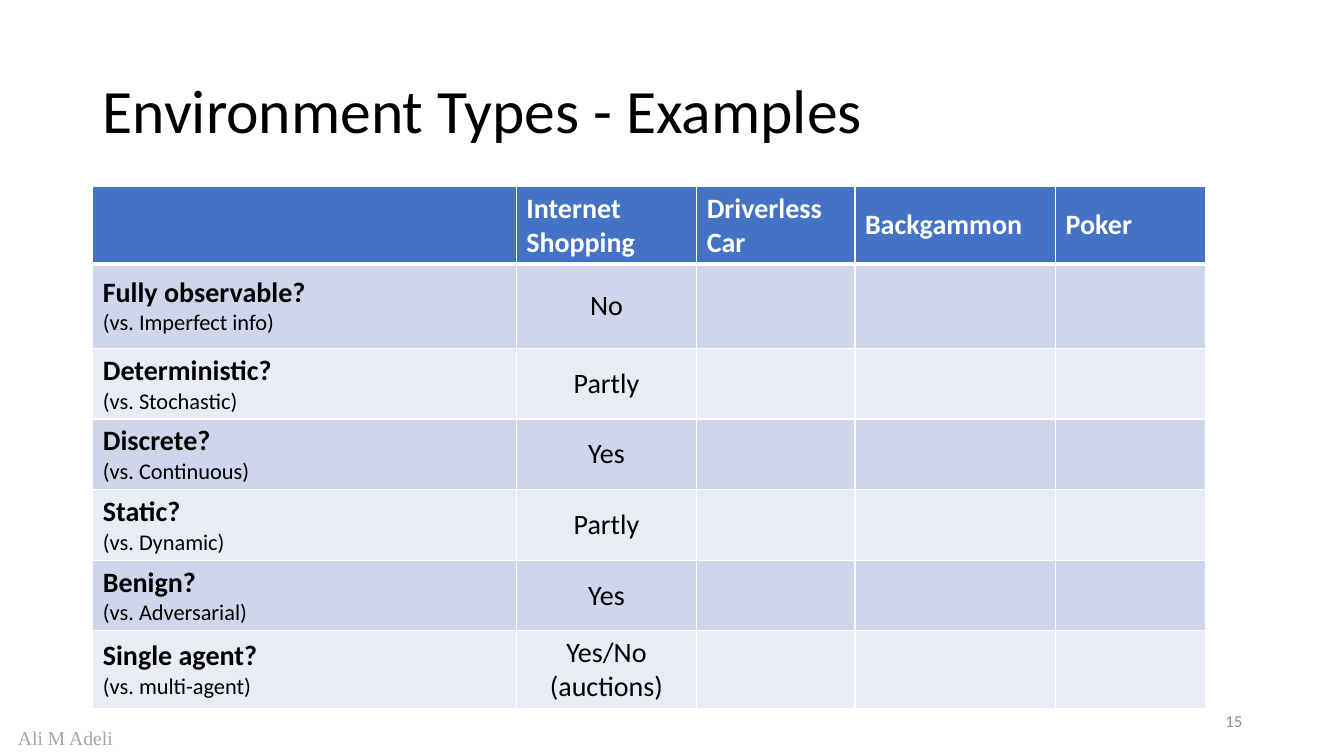
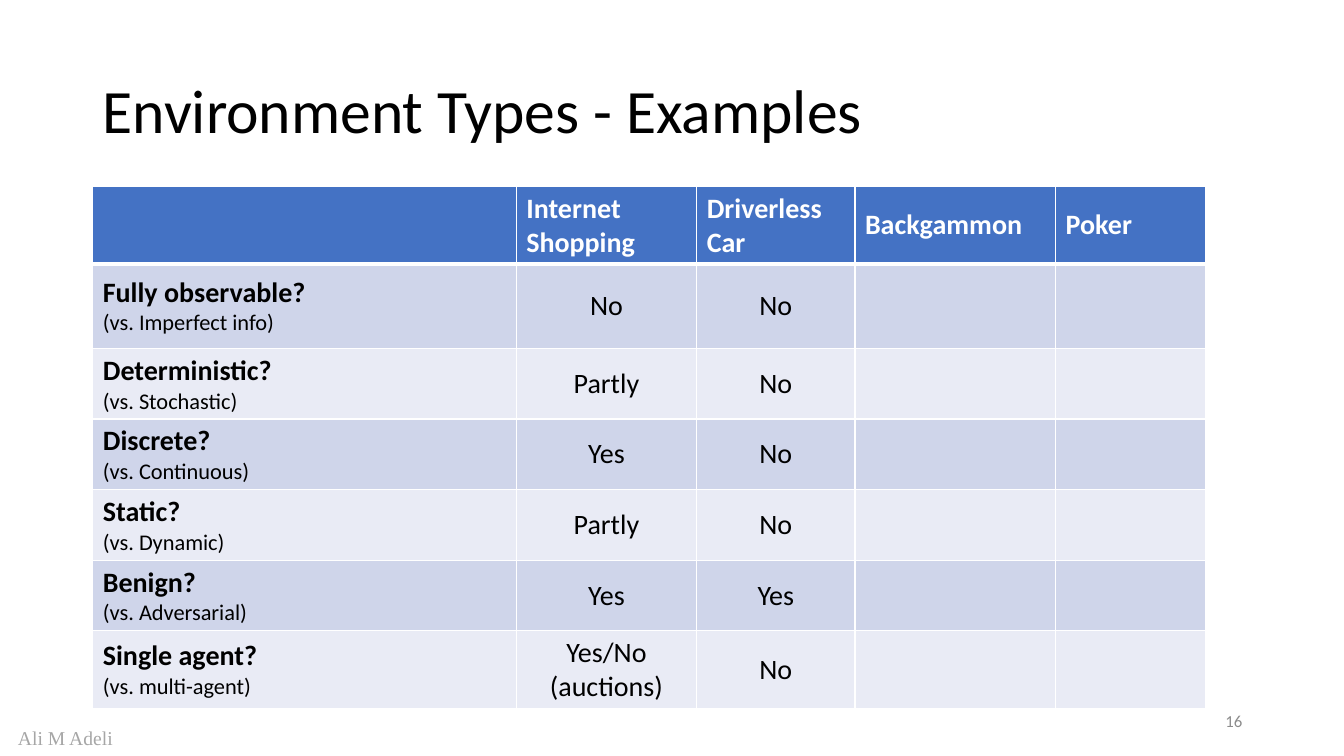
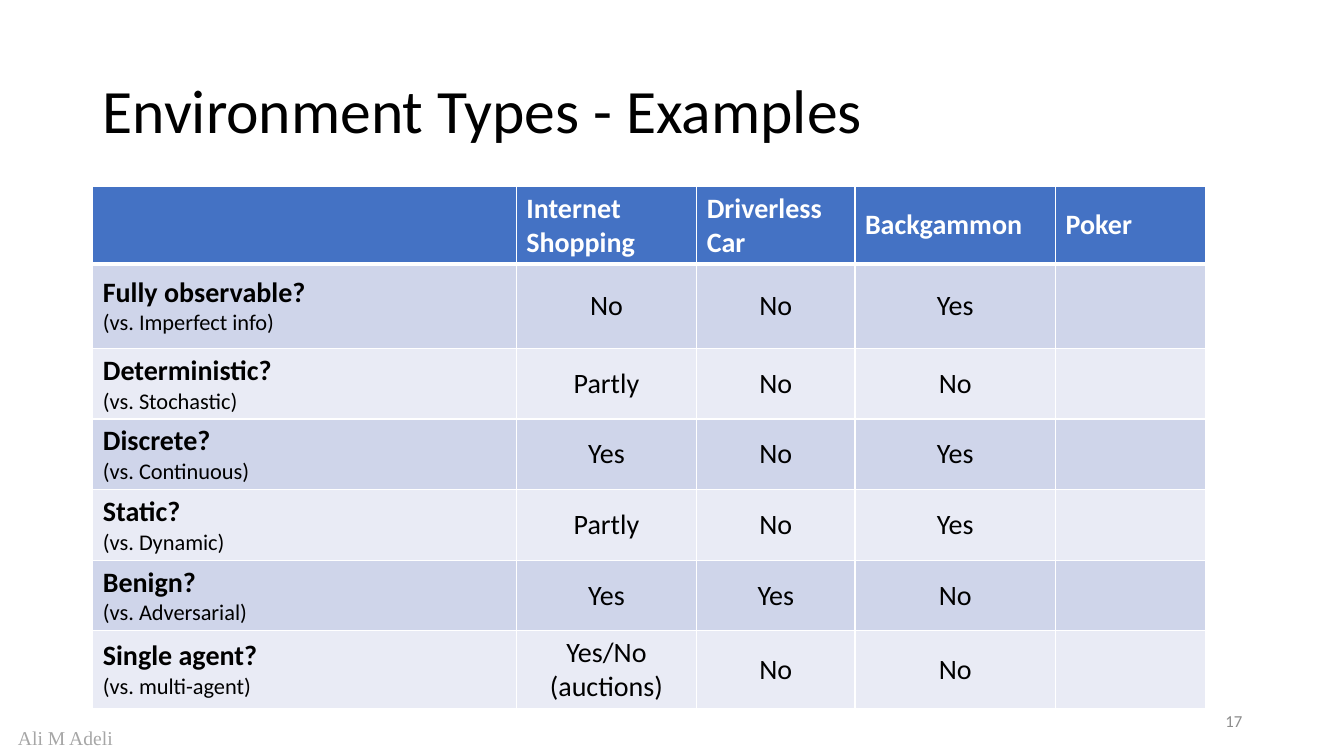
from lxml import etree
from pptx import Presentation
from pptx import util as u
from pptx.dml.color import RGBColor
from pptx.enum import text
from pptx.oxml.ns import qn

PX = 9144  # EMU in one px, 100 px to the inch

TITLE = "Environment Types - Examples"
FIRST_NUMBER = 15
COLUMN_WIDTHS = [420, 179, 157, 199, 149]
ROW_HEIGHTS = [66, 84, 68, 70, 66, 67, 66]
QUESTIONS = [
    ("Fully observable?", "(vs. Imperfect info)"),
    ("Deterministic?", "(vs. Stochastic)"),
    ("Discrete?", "(vs. Continuous)"),
    ("Static?", "(vs. Dynamic)"),
    ("Benign?", "(vs. Adversarial)"),
    ("Single agent?", "(vs. multi-agent)"),
]
ANSWERS = {
    "Internet Shopping": ["No", "Partly", "Yes", "Partly", "Yes", "Yes/No (auctions)"],
    "Driverless Car": ["No", "No", "No", "No", "Yes", "No"],
    "Backgammon": ["Yes", "No", "Yes", "Yes", "No", "No"],
    "Poker": [""] * len(QUESTIONS),
}


def color(value):
    return RGBColor.from_string(value)


class Deck:
    FONT, FOOTER_FONT = "Calibri", "Times New Roman"
    BLACK, WHITE = "000000", "FFFFFF"
    HEADER, BANDS = "4472C4", ("E9EBF5", "CFD5EA")
    FOOTER, NUMBER = "A6A6A6", "8C8C8C"
    LEFT, CENTER, RIGHT = (text.PP_ALIGN.LEFT, text.PP_ALIGN.CENTER,
                           text.PP_ALIGN.RIGHT)

    def __init__(self):
        self.presentation = Presentation()
        self.presentation.slide_width = 1333 * PX
        self.presentation.slide_height = 750 * PX
        self.slide = None

    def new_slide(self, title, number):
        layout = self.presentation.slide_layouts[6]
        self.slide = self.presentation.slides.add_slide(layout)
        self.text_box(8, 715, 147, 34, "Ali M Adeli", 14, self.FOOTER,
                      font=self.FOOTER_FONT, anchor=text.MSO_ANCHOR.TOP)
        heading = self.text_box(92, 40, 1150, 145, title, 44, self.BLACK)
        heading.line_spacing = 0.9
        self.text_box(942, 695, 300, 40, str(number), 12, self.NUMBER,
                      align=self.RIGHT)

    def style(self, paragraph, size, fill, bold=False, align=LEFT, font=FONT):
        paragraph.alignment = align
        paragraph.font.name = font
        paragraph.font.size = u.Pt(size)
        paragraph.font.bold = bold
        paragraph.font.color.rgb = color(fill)

    def text_box(self, left, top, width, height, words, size, fill,
                 align=LEFT, font=FONT, anchor=text.MSO_ANCHOR.MIDDLE):
        box = self.slide.shapes.add_textbox(
            left * PX, top * PX, width * PX, height * PX)
        frame = box.text_frame
        frame.word_wrap = True
        frame.vertical_anchor = anchor
        paragraph = frame.paragraphs[0]
        paragraph.text = words
        self.style(paragraph, size, fill, align=align, font=font)
        return paragraph

    def table(self, left, top, height, columns, rows):
        shape = self.slide.shapes.add_table(
            len(rows), len(columns), left * PX, top * PX,
            sum(columns) * PX, height * PX)
        table = shape.table
        for column, width in zip(table.columns, columns):
            column.width = width * PX
        for row, row_height in zip(table.rows, rows):
            row.height = row_height * PX
        shape.height = height * PX
        return table

    def cell(self, cell, fill, borders, lines=(), align=LEFT):
        """Each line is (words, size, colour, bold)."""
        cell.vertical_anchor = text.MSO_ANCHOR.MIDDLE
        frame = cell.text_frame
        for index, (words, size, ink, bold) in enumerate(lines):
            paragraph = frame.add_paragraph() if index else frame.paragraphs[0]
            paragraph.text = words
            self.style(paragraph, size, ink, bold, align)
        # Borders come before the fill in the cell properties
        properties = cell._tc.get_or_add_tcPr()
        for side, points in borders.items():
            line = etree.SubElement(properties, qn("a:ln" + side),
                                    w=str(u.Pt(points)))
            solid = etree.SubElement(line, qn("a:solidFill"))
            etree.SubElement(solid, qn("a:srgbClr"), val=self.WHITE)
        cell.fill.solid()
        cell.fill.fore_color.rgb = color(fill)

    def environment_table(self, shown):
        """Fill in the answers of the first few example columns."""
        table = self.table(92, 185, 517, COLUMN_WIDTHS, ROW_HEIGHTS)

        # Header row
        for column, name in enumerate(["", *ANSWERS]):
            lines = [(name, 20, self.WHITE, True)]
            self.cell(table.cell(0, column), self.HEADER,
                      {"L": 1, "R": 1, "T": 1, "B": 3}, lines)

        # Questions and answers
        borders = {"L": 1, "R": 1, "B": 1}
        for row, (question, opposite) in enumerate(QUESTIONS, 1):
            band = self.BANDS[row % 2]
            self.cell(table.cell(row, 0), band, borders,
                      [(question, 20, self.BLACK, True),
                       (opposite, 16, self.BLACK, False)])
            for column, answers in enumerate(ANSWERS.values(), 1):
                answer = answers[row - 1] if column <= shown else ""
                self.cell(table.cell(row, column), band, borders,
                          [(answer, 20, self.BLACK, False)], self.CENTER)


def main():
    deck = Deck()
    for step in range(3):
        deck.new_slide(TITLE, FIRST_NUMBER + step)
        deck.environment_table(shown=step + 1)
    deck.presentation.save("out.pptx")


if __name__ == "__main__":
    main()
